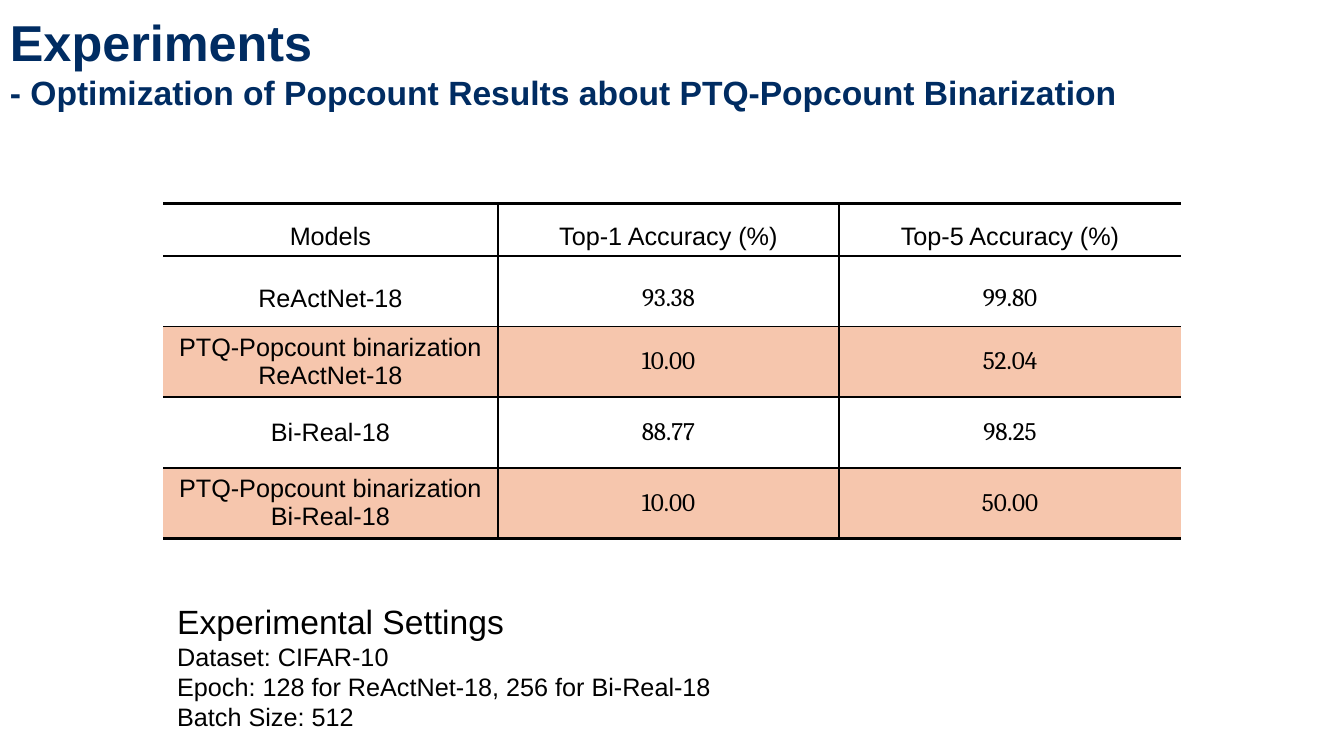
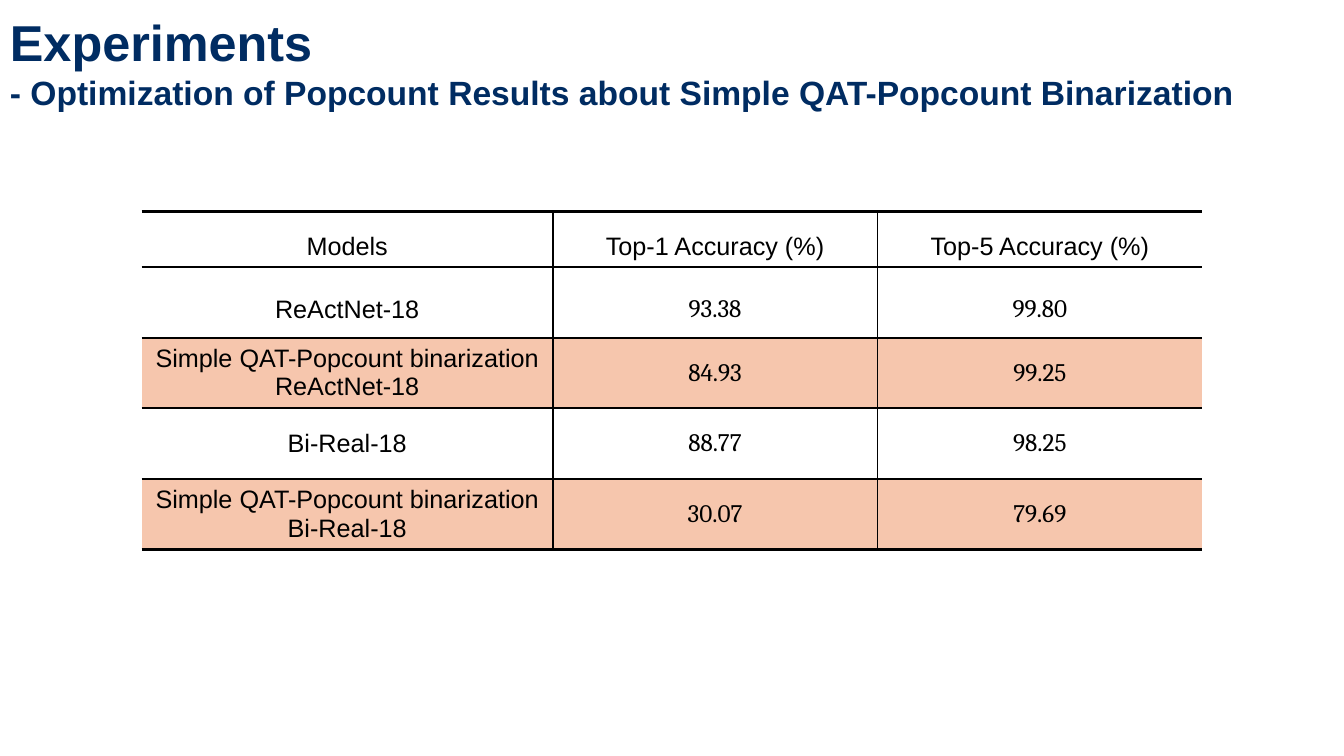
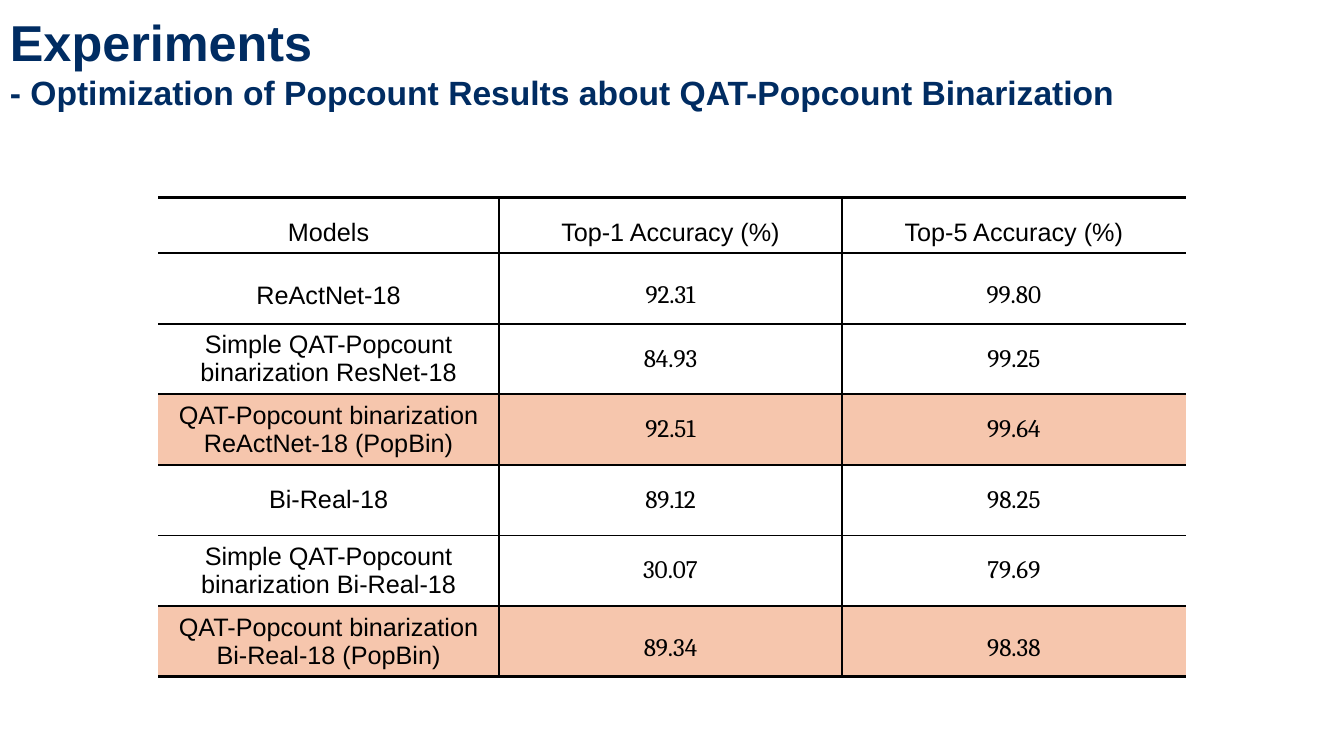
"""Build three slides of popcount binarization results."""
from dataclasses import dataclass
from typing import Optional

from lxml.etree import SubElement
from pptx import Presentation
from pptx.dml.color import RGBColor
from pptx.enum.text import MSO_ANCHOR, PP_ALIGN
from pptx.oxml.ns import qn
from pptx.util import Pt


@dataclass(frozen=True)
class Theme:
    navy: str = "002C62"
    black: str = "000000"
    peach: str = "F6C6AD"
    text_font: str = "Arial"
    number_font: str = "Cambria"
    title_size: float = 36
    heading_size: float = 24
    body_size: float = 18
    thin_line: float = 1.5
    thick_line: float = 2.25
    loose_spacing: float = 1.5


@dataclass(frozen=True)
class ResultRow:
    label: str
    top1: str
    top5: str
    highlighted: bool = False
    loose_label: bool = False
    loose_values: bool = False


@dataclass(frozen=True)
class ResultPage:
    subject: str
    table_top: float
    label_width: float
    value_width: float
    rows: tuple[ResultRow, ...]
    settings: tuple[str, ...] = ()


THEME = Theme()
PAGE_WIDTH, PAGE_HEIGHT = 960, 540
HEADER_HEIGHT, ROW_HEIGHT = 26.7, 50.4
HEADER = ResultRow("Models", "Top-1 Accuracy (%)", "Top-5 Accuracy (%)",
                   loose_label=True, loose_values=True)


def baseline(label: str, top1: str, top5: str) -> ResultRow:
    return ResultRow(label, top1, top5, loose_label=True, loose_values=True)


PAGES = (
    ResultPage("PTQ-Popcount Binarization", 145.4, 239, 244, (
        baseline("ReActNet-18", "93.38", "99.80"),
        ResultRow("PTQ-Popcount binarization\nReActNet-18", "10.00", "52.04", True),
        ResultRow("Bi-Real-18", "88.77", "98.25"),
        ResultRow("PTQ-Popcount binarization\nBi-Real-18", "10.00", "50.00", True),
    ), (
        "Experimental Settings",
        "Dataset:\tCIFAR-10",
        "Epoch: 128 for ReActNet-18, 256 for Bi-Real-18",
        "Batch Size: 512",
    )),
    ResultPage("Simple QAT-Popcount Binarization", 151.2, 293.6, 232, (
        baseline("ReActNet-18", "93.38", "99.80"),
        ResultRow("Simple QAT-Popcount binarization\nReActNet-18", "84.93", "99.25", True),
        ResultRow("Bi-Real-18", "88.77", "98.25"),
        ResultRow("Simple QAT-Popcount binarization\nBi-Real-18", "30.07", "79.69", True),
    )),
    ResultPage("QAT-Popcount Binarization", 141.2, 243.2, 245.3, (
        baseline("ReActNet-18", "92.31", "99.80"),
        ResultRow("Simple QAT-Popcount binarization ResNet-18", "84.93", "99.25"),
        ResultRow("QAT-Popcount binarization\nReActNet-18 (PopBin)", "92.51", "99.64", True),
        ResultRow("Bi-Real-18", "89.12", "98.25"),
        ResultRow("Simple QAT-Popcount binarization Bi-Real-18", "30.07", "79.69"),
        ResultRow("QAT-Popcount binarization\nBi-Real-18 (PopBin)", "89.34", "98.38", True,
                  loose_values=True),
    )),
)


def style_paragraph(para, size: float, color: str, font: str = THEME.text_font,
                    bold: bool = False) -> None:
    for span in para.runs:
        span.font.size = Pt(size)
        span.font.name = font
        span.font.bold = bold
        span.font.color.rgb = RGBColor.from_string(color)


def add_heading_box(page, lines: tuple[str, ...], left: float, top: float,
                    width: float, height: float, sizes: tuple[float, float],
                    color: str, bold: bool = False,
                    anchor: MSO_ANCHOR = MSO_ANCHOR.TOP) -> None:
    box = page.shapes.add_textbox(Pt(left), Pt(top), Pt(width), Pt(height))
    frame = box.text_frame
    frame.word_wrap = True
    frame.vertical_anchor = anchor
    frame.text = "\n".join(lines)
    for index, para in enumerate(frame.paragraphs):
        style_paragraph(para, sizes[min(index, 1)], color, bold=bold)


def set_borders(cell, widths: dict[str, Optional[float]]) -> None:
    properties = cell._tc.get_or_add_tcPr()
    for index, (side, width) in enumerate(widths.items()):
        line = SubElement(properties, qn(f"a:ln{side}"))
        if width is None:
            SubElement(line, qn("a:noFill"))
        else:
            line.set("w", str(int(Pt(width))))
            fill = SubElement(line, qn("a:solidFill"))
            SubElement(fill, qn("a:srgbClr")).set("val", THEME.black)
        properties.insert(index, line)


def fill_cell(cell, text: str, font: str, loose: bool, highlighted: bool) -> None:
    cell.vertical_anchor = MSO_ANCHOR.MIDDLE
    if highlighted:
        cell.fill.solid()
        cell.fill.fore_color.rgb = RGBColor.from_string(THEME.peach)
    else:
        cell.fill.background()
    cell.text_frame.text = text
    for para in cell.text_frame.paragraphs:
        para.alignment = PP_ALIGN.CENTER
        if loose:
            para.line_spacing = THEME.loose_spacing
        style_paragraph(para, THEME.body_size, THEME.black, font)


def add_results(page, result: ResultPage) -> None:
    rows = (HEADER, *result.rows)
    widths = (result.label_width, result.value_width, result.value_width)
    heights = (HEADER_HEIGHT, *[ROW_HEIGHT] * len(result.rows))
    table = page.shapes.add_table(
        len(rows), len(widths), Pt((PAGE_WIDTH - sum(widths)) / 2),
        Pt(result.table_top), Pt(sum(widths)), Pt(sum(heights))).table
    table.first_row = table.horz_banding = False
    for column, width in zip(table.columns, widths):
        column.width = Pt(width)
    last_row, last_column = len(rows) - 1, len(widths) - 1
    for row_index, row in enumerate(rows):
        table.rows[row_index].height = Pt(heights[row_index])
        for column_index, text in enumerate((row.label, row.top1, row.top5)):
            cell = table.cell(row_index, column_index)
            is_number = row_index > 0 and column_index > 0
            font = THEME.number_font if is_number else THEME.text_font
            loose = row.loose_values if column_index else row.loose_label
            fill_cell(cell, text, font, loose, row.highlighted)
            set_borders(cell, {
                "L": THEME.thin_line if column_index else None,
                "R": THEME.thin_line if column_index < last_column else None,
                "T": THEME.thin_line if row_index else THEME.thick_line,
                "B": THEME.thin_line if row_index < last_row else THEME.thick_line,
            })


def main() -> None:
    deck = Presentation()
    deck.slide_width, deck.slide_height = Pt(PAGE_WIDTH), Pt(PAGE_HEIGHT)
    for result in PAGES:
        page = deck.slides.add_slide(deck.slide_layouts[6])
        add_results(page, result)
        title = ("Experiments", f"- Optimization of Popcount Results about {result.subject}")
        add_heading_box(page, title, 0, 0, PAGE_WIDTH, 87.8,
                        (THEME.title_size, THEME.heading_size), THEME.navy,
                        bold=True, anchor=MSO_ANCHOR.MIDDLE)
        if result.settings:
            add_heading_box(page, result.settings, 119.5, 425.5, 604.8, 101.5,
                            (THEME.heading_size, THEME.body_size), THEME.black)
    deck.save("out.pptx")


if __name__ == "__main__":
    main()
